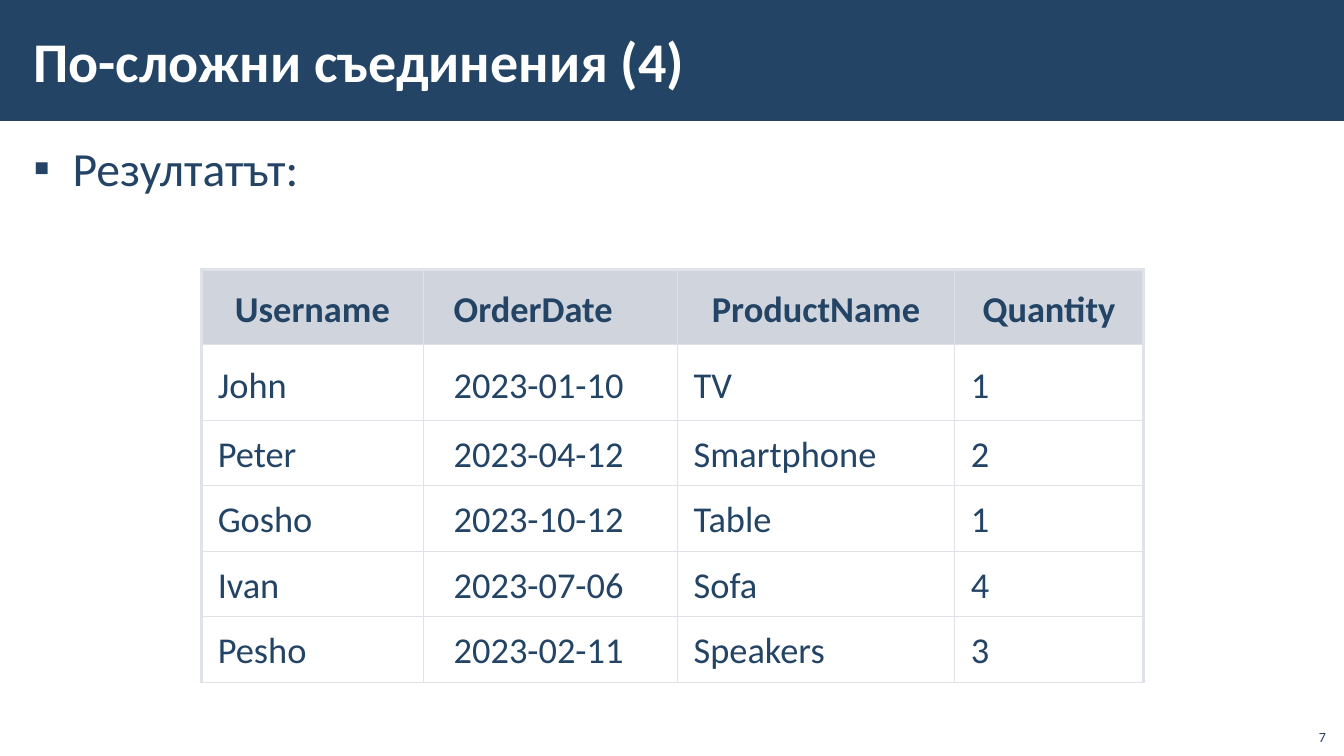
from lxml import etree
from pptx import Presentation
from pptx.dml.color import RGBColor
from pptx.enum.shapes import MSO_SHAPE
from pptx.enum.text import MSO_ANCHOR, MSO_AUTO_SIZE, PP_ALIGN
from pptx.oxml.ns import qn
from pptx.util import Inches, Pt

RECTANGLE = MSO_SHAPE.RECTANGLE
MIDDLE, BOTTOM = MSO_ANCHOR.MIDDLE, MSO_ANCHOR.BOTTOM
LEFT, CENTER, RIGHT = PP_ALIGN.LEFT, PP_ALIGN.CENTER, PP_ALIGN.RIGHT
NO_AUTOFIT = MSO_AUTO_SIZE.NONE
NAVY, WHITE, HEADER_GREY, BORDER_GREY = "234465", "FFFFFF", "D0D4DC", "DFE2E9"

HEADERS = ["Username", "OrderDate", "ProductName", "Quantity"]
ORDERS = [
    ["John", "2023-01-10", "TV", "1"],
    ["Peter", "2023-04-12", "Smartphone", "2"],
    ["Gosho", "2023-10-12", "Table", "1"],
    ["Ivan", "2023-07-06", "Sofa", "4"],
    ["Pesho", "2023-02-11", "Speakers", "3"],
]
COLUMN_WIDTHS = [2.2, 2.52, 2.75, 1.87]
ROW_HEIGHTS = [0.75] * 2 + [0.65] * 4
DATE_COLUMN = 1


def rgb(hex_color):
    return RGBColor.from_string(hex_color)


def write(paragraph, text, size, color=NAVY, bold=False, align=LEFT):
    paragraph.text = text
    paragraph.alignment = align
    font = paragraph.font
    font.name, font.size, font.bold = "Calibri", Pt(size), bold
    font.color.rgb = rgb(color)


prs = Presentation()
prs.slide_width, prs.slide_height = Inches(13.33), Inches(7.5)
slide = prs.slides.add_slide(prs.slide_layouts[1])
title, body = slide.shapes.title, slide.placeholders[1]

# Title band, behind the placeholders
band = slide.shapes.add_shape(RECTANGLE, 0, 0, prs.slide_width, Inches(1.2))
band.fill.solid()
band.fill.fore_color.rgb = rgb(NAVY)
band.line.fill.background()
band.shadow.inherit = False
slide.shapes._spTree.insert(2, band._element)

# Title and bullet
for holder, top, width, height in ((title, 0.11, 11.23, 0.97), (body, 1.31, 12.92, 6.05)):
    holder.left, holder.top = Inches(0.21), Inches(top)
    holder.width, holder.height = Inches(width), Inches(height)
    frame = holder.text_frame
    frame.auto_size = NO_AUTOFIT
    frame.margin_left = frame.margin_right = Inches(0.12)
    frame.margin_top = frame.margin_bottom = Inches(0.04)
title.text_frame.vertical_anchor = MIDDLE
write(title.text_frame.paragraphs[0], "По-сложни съединения (4)", 40, WHITE, bold=True)

result = body.text_frame.paragraphs[0]
result.line_spacing, result.space_before, result.space_after = 1.05, Pt(0), Pt(6)
properties = result._p.get_or_add_pPr()
properties.set("marL", str(Inches(0.39)))
properties.set("indent", str(-Inches(0.39)))
etree.SubElement(properties, qn("a:buChar")).set("char", "▪")
write(result, "Резултатът:", 34)

# Orders table
table = slide.shapes.add_table(
    len(ROW_HEIGHTS), len(COLUMN_WIDTHS), Inches(2), Inches(2.67),
    Inches(sum(COLUMN_WIDTHS)), Inches(sum(ROW_HEIGHTS))).table
table.horz_banding = False
for column, width in zip(table.columns, COLUMN_WIDTHS):
    column.width = Inches(width)
for row, height in zip(table.rows, ROW_HEIGHTS):
    row.height = Inches(height)

for r, record in enumerate([HEADERS] + ORDERS):
    for c, value in enumerate(record):
        cell = table.cell(r, c)
        is_header = r == 0
        is_centered = is_header and c != DATE_COLUMN
        indent = 0.3 if c == DATE_COLUMN else 0 if is_header else 0.16
        cell.vertical_anchor = MIDDLE
        cell.margin_left = Inches(indent)
        cell.margin_right = cell.margin_bottom = 0
        cell.margin_top = Inches(0.06 if r < 2 else 0.03)
        write(cell.text_frame.paragraphs[0], value, 26, bold=is_header,
              align=CENTER if is_centered else LEFT)

        thick_edges = {"L": c == 0, "R": c == len(HEADERS) - 1, "T": is_header, "B": False}
        for side, is_thick in thick_edges.items():
            edge = etree.SubElement(cell._tc.get_or_add_tcPr(), qn(f"a:ln{side}"))
            edge.set("w", str(Pt(2.25 if is_thick else 1)))
            edge_fill = etree.SubElement(edge, qn("a:solidFill"))
            etree.SubElement(edge_fill, qn("a:srgbClr")).set("val", BORDER_GREY)
        if is_header:
            cell.fill.solid()
            cell.fill.fore_color.rgb = rgb(HEADER_GREY)
        else:
            cell.fill.background()

# Slide number
number = slide.shapes.add_textbox(Inches(12.85), Inches(7.12), Inches(0.4), Inches(0.32))
number.text_frame.word_wrap = True
number.text_frame.vertical_anchor = BOTTOM
write(number.text_frame.paragraphs[0], "7", 10, align=RIGHT)

prs.save("out.pptx")
